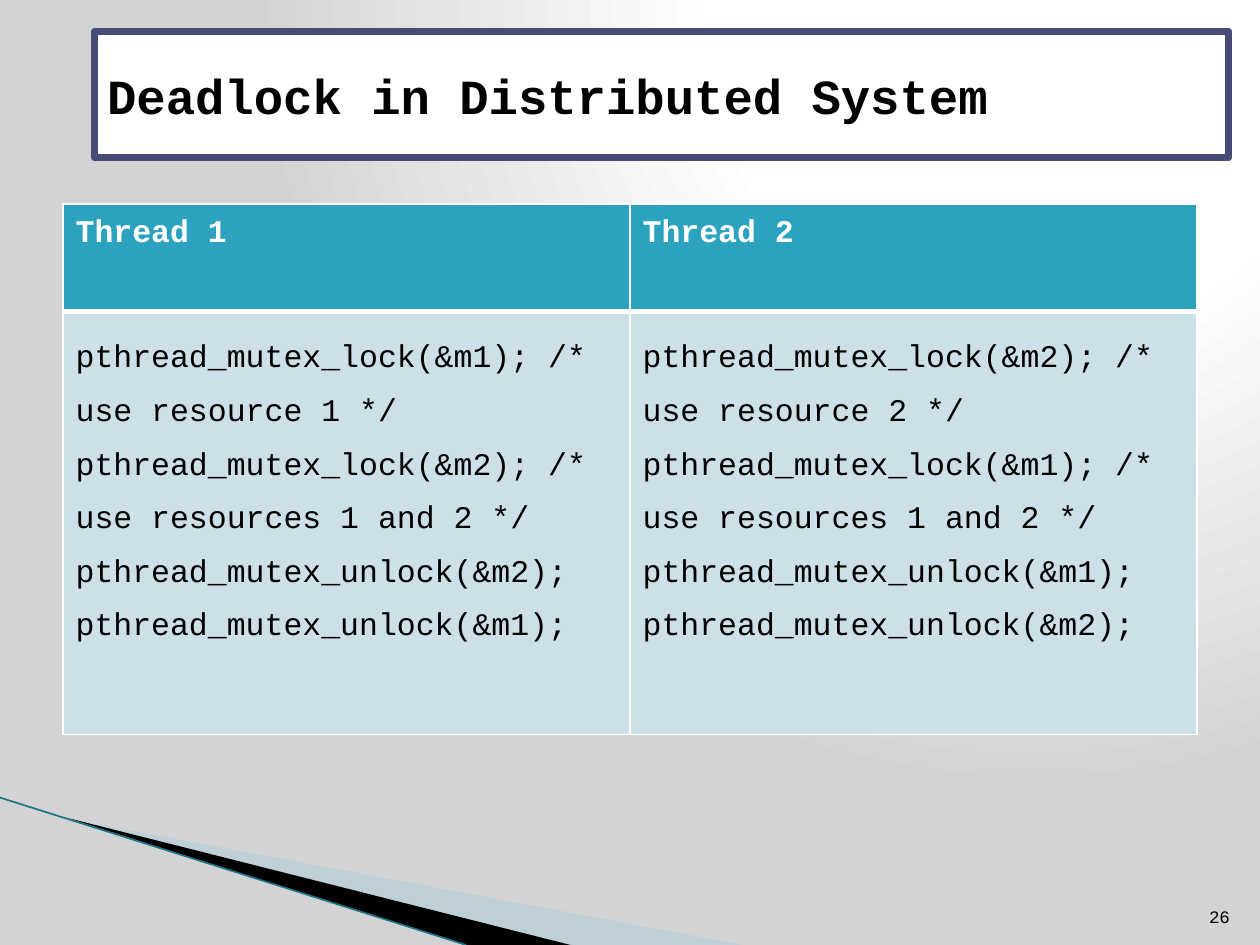
from pptx import Presentation
from pptx.dml.color import RGBColor
from pptx.enum.shapes import MSO_CONNECTOR
from pptx.enum.text import MSO_ANCHOR, PP_ALIGN
from pptx.oxml import parse_xml
from pptx.oxml.ns import nsdecls, qn
from pptx.oxml.xmlchemy import OxmlElement
from pptx.util import Inches, Pt

FONT = "Courier New"
BLACK, WHITE = "000000", "FFFFFF"
HEADER_FILL, CODE_FILL = "2DA2BF", "CDE0E8"
BACKDROP_STOPS = [(0, WHITE), (40, WHITE), (100, "D3D3D3")]
PALE_WEDGE = [(0.55, 6.5), (5.95, 7.51), (4.56, 7.51)]
DARK_WEDGE = [(0.53, 6.49), (4.57, 7.51), (3.72, 7.51)]


def rgb(value):
    """Turn a hex string into a colour."""
    return RGBColor.from_string(value)


def set_values(target, values):
    """Set each attribute named in a dict."""
    for name, value in values.items():
        setattr(target, name, value)


def write_text(frame, text, size, color, bold=False, anchor=MSO_ANCHOR.TOP, **layout):
    """Fill a text frame with one formatted paragraph."""
    set_values(frame, {"text": text, "word_wrap": True, "vertical_anchor": anchor})
    paragraph = frame.paragraphs[0]
    set_values(paragraph, {"alignment": PP_ALIGN.LEFT, **layout})
    font = paragraph.runs[0].font
    set_values(font, {"name": FONT, "size": Pt(size), "bold": bold})
    font.color.rgb = rgb(color)


def paint_backdrop(slide):
    """Give the slide a circular gradient background."""
    slide.background.fill.solid()
    solid = slide.element.find(".//" + qn("p:bgPr")).find(qn("a:solidFill"))
    stops = "".join(
        f'<a:gs pos="{place * 1000}"><a:srgbClr val="{color}"/></a:gs>'
        for place, color in BACKDROP_STOPS
    )
    gradient = parse_xml(
        f'<a:gradFill {nsdecls("a")} rotWithShape="1"><a:gsLst>{stops}</a:gsLst>'
        '<a:path path="circle"><a:fillToRect l="65000" t="0" r="0" b="98000"/>'
        "</a:path></a:gradFill>"
    )
    solid.getparent().replace(solid, gradient)


def add_wedge(slide, corners, color, opacity=100):
    """Draw a filled triangle without an outline."""
    start, *others = [(Inches(x), Inches(y)) for x, y in corners]
    builder = slide.shapes.build_freeform(*start)
    builder.add_line_segments(others)
    wedge = builder.convert_to_shape()
    wedge.shadow.inherit = False
    wedge.line.fill.background()
    wedge.fill.solid()
    wedge.fill.fore_color.rgb = rgb(color)
    if opacity < 100:
        alpha = OxmlElement("a:alpha")
        alpha.set("val", str(opacity * 1000))
        wedge.element.spPr.find(".//" + qn("a:srgbClr")).append(alpha)


def add_edge(slide, start, end, color, width):
    """Draw a straight line between two points."""
    points = [Inches(value) for value in (*start, *end)]
    edge = slide.shapes.add_connector(MSO_CONNECTOR.STRAIGHT, *points)
    edge.line.color.rgb = rgb(color)
    edge.line.width = Pt(width)
    edge.element.spPr.append(OxmlElement("a:effectLst"))


def format_title(title, text):
    """Place, frame and fill the title placeholder."""
    place = {"left": 0.75, "top": 0.25, "width": 9, "height": 1}
    set_values(title, {side: Inches(value) for side, value in place.items()})
    title.fill.solid()
    title.fill.fore_color.rgb = rgb(WHITE)
    title.line.color.rgb = rgb("474B78")
    title.line.width = Pt(4.33)
    write_text(title.text_frame, text, 28, BLACK, True, MSO_ANCHOR.MIDDLE)


def add_page_number(slide, number):
    """Write the page number in the lower right corner."""
    box = slide.shapes.add_textbox(Inches(9.3), Inches(7.01), Inches(0.56), Inches(0.4))
    write_text(box.text_frame, number, 10, BLACK, anchor=MSO_ANCHOR.BOTTOM,
               alignment=PP_ALIGN.RIGHT)


def format_cell(cell, fill, borders):
    """Set the margins, white borders and fill of a cell."""
    sides = ("left", "right", "top", "bottom")
    set_values(cell, {f"margin_{side}": Inches(0.1) for side in sides})
    properties = cell._tc.get_or_add_tcPr()
    for side, width in zip("LRTB", borders):
        properties.append(parse_xml(
            f'<a:ln{side} {nsdecls("a")} w="{Pt(width)}"><a:solidFill>'
            f'<a:srgbClr val="{WHITE}"/></a:solidFill></a:ln{side}>'
        ))
    cell.fill.solid()
    cell.fill.fore_color.rgb = rgb(fill)


def locking_code(first, second):
    """Return the code of a thread that locks two mutexes in order."""
    return (
        f"pthread_mutex_lock(&m{first}); /* use resource {first} */ "
        f"pthread_mutex_lock(&m{second}); /* use resources 1 and 2 */ "
        f"pthread_mutex_unlock(&m{second}); pthread_mutex_unlock(&m{first});"
    )


def add_thread_table(slide, threads):
    """Set the threads side by side in a table."""
    frame = slide.shapes.add_table(
        2, len(threads), Inches(0.5), Inches(1.62), Inches(9), Inches(4.21))
    table = frame.table
    for row, height in zip(table.rows, (0.85, 3.36)):
        row.height = Inches(height)
    for column, (heading, code) in enumerate(threads):
        header, body = table.cell(0, column), table.cell(1, column)
        write_text(header.text_frame, heading, 18, WHITE, True)
        format_cell(header, HEADER_FILL, (1, 1, 1, 3))
        write_text(body.text_frame, code, 18, BLACK, line_spacing=1.5)
        format_cell(body, CODE_FILL, (1, 1, 3, 1))


def main():
    """Build the slide and save it."""
    deck = Presentation()
    set_values(deck, {"slide_width": Inches(10), "slide_height": Inches(7.5)})
    slide = deck.slides.add_slide(deck.slide_layouts[5])
    paint_backdrop(slide)
    add_wedge(slide, PALE_WEDGE, "A0CBDC", 40)
    add_wedge(slide, DARK_WEDGE, BLACK)
    add_edge(slide, (0, 6.33), (3.7, 7.5), "1B7587", 0.95)
    add_page_number(slide, "26")
    format_title(slide.shapes.title, "Deadlock in Distributed System")
    add_thread_table(slide, [("Thread 1", locking_code(1, 2)),
                             ("Thread 2", locking_code(2, 1))])
    deck.save("out.pptx")


if __name__ == "__main__":
    main()
